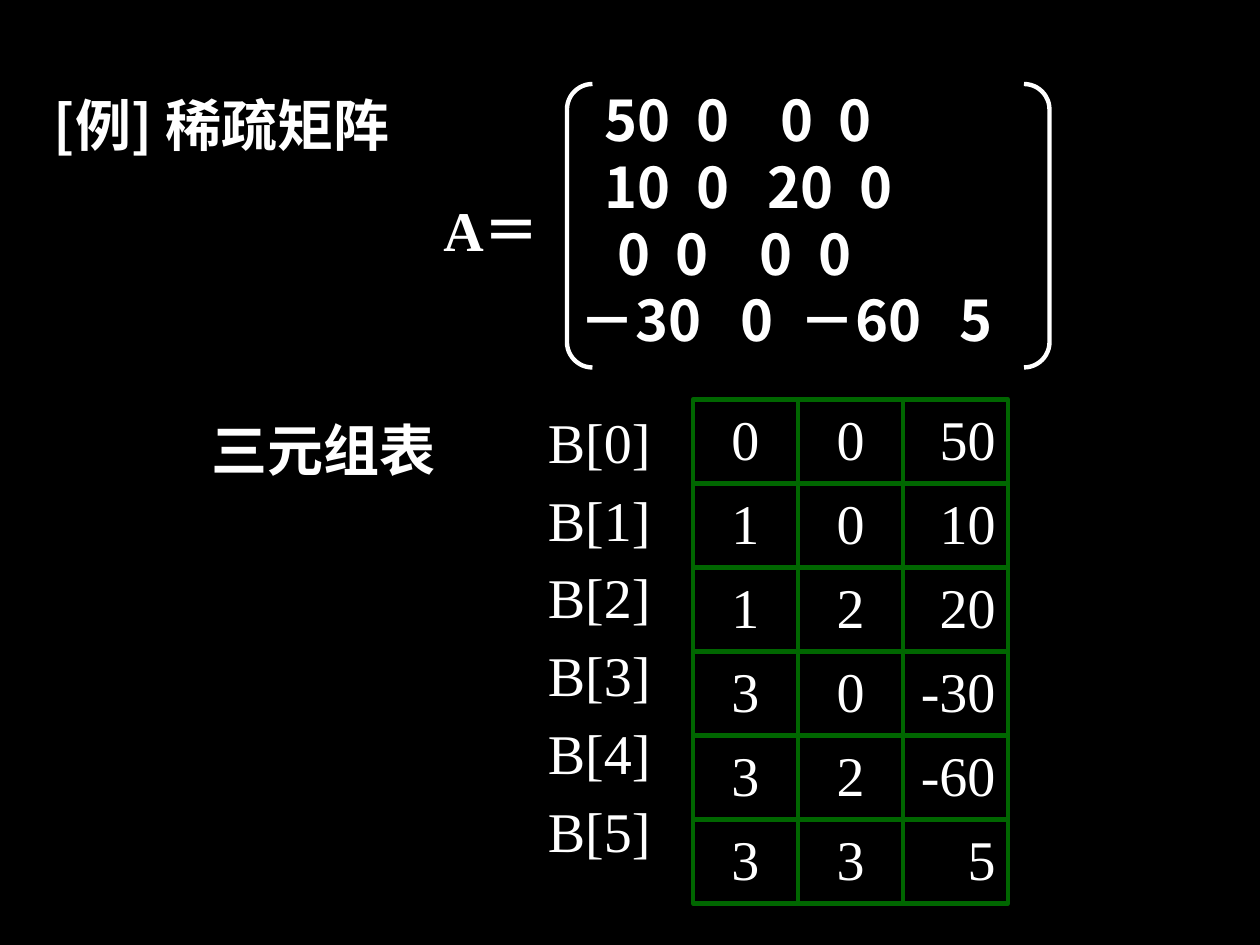
from lxml.etree import SubElement
from pptx import Presentation
from pptx.dml.color import RGBColor
from pptx.enum.shapes import MSO_SHAPE
from pptx.enum.text import MSO_ANCHOR, PP_ALIGN
from pptx.oxml.ns import qn
from pptx.util import Inches, Pt

COLUMN, ROW = 10 / 12, 7.5 / 11.25
SANS, SERIF = "Noto Sans CJK SC", "Times New Roman"
WHITE, GREEN, BLACK = "FFFFFF", "006600", "000000"

MATRIX_ROWS = [
    ("\t50\t0\t0\t0", (0.2, 0.93, 1.6, 2.06)),
    ("\t10\t0\t20\t0", (0.2, 0.93, 1.49, 2.22)),
    ("\t0\t0\t0\t0", (0.3, 0.76, 1.43, 1.9)),
    ("－30\t0\t－60\t5", (1.28, 1.75, 3.02)),
]
TRIPLES = [(0, 0, 50), (1, 0, 10), (1, 2, 20), (3, 0, -30), (3, 2, -60), (3, 3, 5)]


def color(value):
    return RGBColor.from_string(value)


def set_tabs(paragraph, stops):
    tab_list = SubElement(paragraph._p.get_or_add_pPr(), qn("a:tabLst"))
    for stop in stops:
        SubElement(tab_list, qn("a:tab"), pos=str(Inches(stop)), algn="l")


def write(paragraph, text, font=SERIF, bold=False, align=PP_ALIGN.LEFT, line=38, tabs=()):
    paragraph.alignment = align
    paragraph.line_spacing = Pt(line)
    if tabs:
        set_tabs(paragraph, tabs)
    run = paragraph.add_run()
    run.text = text
    run.font.size = Pt(32)
    run.font.name = font
    run.font.bold = bold
    run.font.color.rgb = color(WHITE)
    SubElement(run._r.get_or_add_rPr(), qn("a:ea"), typeface=SANS)


def add_lines(slide, left, top, width, height, lines):
    frame = slide.shapes.add_textbox(*map(Inches, (left, top, width, height))).text_frame
    frame.word_wrap = True
    for index, (text, style) in enumerate(lines):
        paragraph = frame.add_paragraph() if index else frame.paragraphs[0]
        write(paragraph, text, **style)


def add_outline(slide, preset, left, top, width, height, line_color):
    outline = slide.shapes.add_shape(preset, *map(Inches, (left, top, width, height)))
    outline.shadow.inherit = False
    outline.fill.background()
    outline.line.color.rgb = color(line_color)
    outline.line.width = Pt(2.5)
    return outline


def add_triples(slide, left, top):
    for row, triple in enumerate(TRIPLES):
        for column, value in enumerate(triple):
            cell = add_outline(slide, MSO_SHAPE.RECTANGLE, left + column * COLUMN,
                               top + row * ROW, COLUMN, ROW, GREEN)
            cell.text_frame.vertical_anchor = MSO_ANCHOR.TOP
            align = PP_ALIGN.RIGHT if column == len(triple) - 1 else PP_ALIGN.CENTER
            write(cell.text_frame.paragraphs[0], str(value), align=align, line=37.5)


def main():
    presentation = Presentation()
    presentation.slide_width, presentation.slide_height = Inches(10), Inches(7.5)
    slide = presentation.slides.add_slide(presentation.slide_layouts[6])
    slide.background.fill.solid()
    slide.background.fill.fore_color.rgb = color(BLACK)

    heading = {"bold": True, "line": 38.5}
    matrix_lines = [(text, {"font": SANS, "bold": True, "line": 38 if row else 36,
                            "tabs": stops})
                    for row, (text, stops) in enumerate(MATRIX_ROWS)]
    index_lines = [(f"B[{index}]", {"line": 44.5 if index else 39.3})
                   for index in range(len(TRIPLES))]

    add_lines(slide, 4.5, ROW, 5.5, 2.21, matrix_lines)
    add_lines(slide, 3.42, 1.5, 1.42, 0.63, [("A＝", heading)])
    brackets = add_outline(slide, MSO_SHAPE.DOUBLE_BRACKET, 4.5, ROW, 3.83, 2.25, WHITE)
    brackets.adjustments[0] = 0.09
    add_lines(slide, 0.33, ROW, 4.42, 0.63, [("[例] 稀疏矩阵", {**heading, "font": SANS})])
    add_lines(slide, 4.25, 3.17, 1.67, 3.86, index_lines)
    add_triples(slide, 5.5, 3.17)
    add_lines(slide, 1.58, 3.25, 2, 0.63, [("三元组表", heading)])
    presentation.save("out.pptx")


if __name__ == "__main__":
    main()
